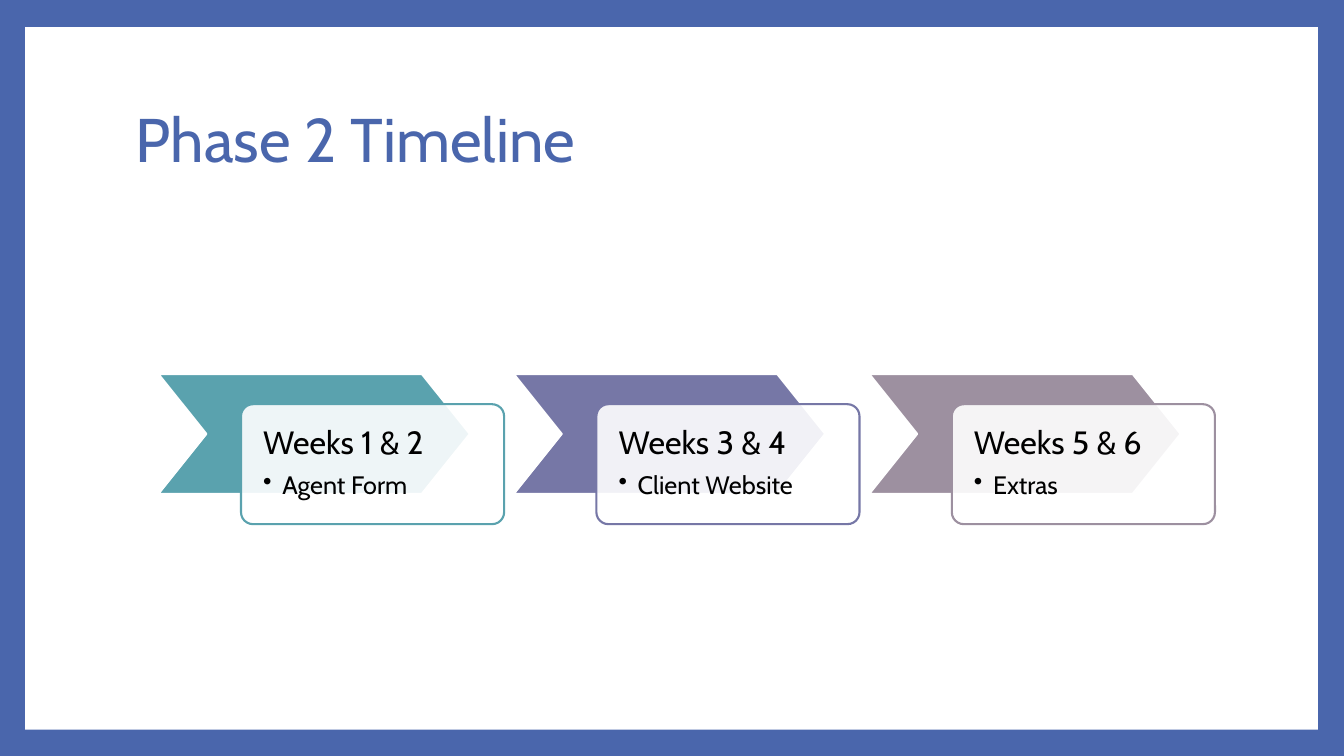
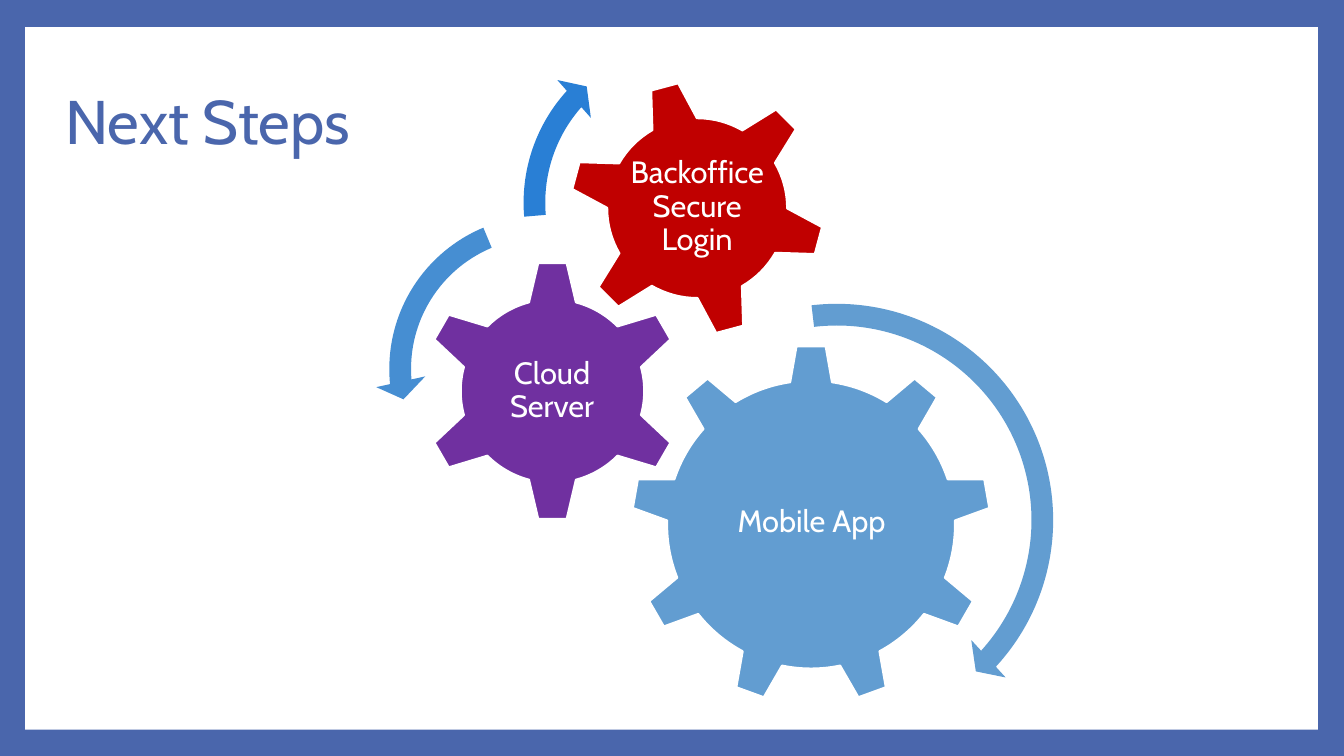
from lxml.etree import SubElement
from pptx import Presentation
from pptx.dml.color import RGBColor
from pptx.enum.shapes import MSO_SHAPE as SHAPE
from pptx.enum.text import MSO_ANCHOR as ANCHOR, PP_ALIGN as ALIGN
from pptx.oxml.ns import qn
from pptx.util import Inches, Pt

FONT = "Cabin"
COLORS = {
    "blue": "4A66AC", "white": "FFFFFF", "black": "000000",
    "teal": "5AA2AE", "violet": "7677A6", "mauve": "9D90A0",
    "sky": "629DD1", "purple": "7030A0", "red": "C00000",
    "azure": "468ED2", "cobalt": "297FD5",
}


def rgb(name):
    """Return the named colour."""
    return RGBColor.from_string(COLORS[name])


def add_shape(slide, kind, box, fill, line=None, adj=()):
    """Draw a flat preset shape in box (left, top, width, height)."""
    s = slide.shapes.add_shape(kind, *map(Inches, box))
    s.shadow.inherit = False
    s.fill.solid()
    s.fill.fore_color.rgb = rgb(fill)
    if line:
        s.line.color.rgb = rgb(line)
        s.line.width = Pt(1.5)
    else:
        s.line.fill.background()
    for i, value in enumerate(adj):
        s.adjustments[i] = value
    return s


def add_text(slide, box, lines, color, anchor=ANCHOR.TOP, align=ALIGN.LEFT, inset=None):
    """Write lines of (text, size) in a wrapping text box and return its paragraphs."""
    tf = slide.shapes.add_textbox(*map(Inches, box)).text_frame
    tf.word_wrap = True
    tf.vertical_anchor = anchor
    if inset is not None:
        tf.margin_left = tf.margin_right = tf.margin_top = tf.margin_bottom = Inches(inset)
    for i, (text, size) in enumerate(lines):
        p = tf.add_paragraph() if i else tf.paragraphs[0]
        p.text = text
        p.alignment = align
        p.line_spacing = 0.9
        font = p.runs[0].font
        font.name = FONT
        font.size = Pt(size)
        font.color.rgb = rgb(color)
    return tf.paragraphs


def add_bullet(p, indent):
    """Give a paragraph a round bullet with a hanging indent."""
    pPr = p._p.get_or_add_pPr()
    pPr.set("marL", str(Inches(indent)))
    pPr.set("indent", str(-Inches(indent)))
    SubElement(pPr, qn("a:buChar")).set("char", "•")


def set_opacity(s, percent):
    """Make the solid fill of a shape partly transparent."""
    clr = s._element.spPr.find(qn("a:solidFill")).find(qn("a:srgbClr"))
    SubElement(clr, qn("a:alpha")).set("val", str(percent * 1000))


def add_framed_slide(prs, title, left, top):
    """Add a slide with the blue frame, the white panel and a title."""
    slide = prs.slides.add_slide(prs.slide_layouts[6])
    slide.background.fill.solid()
    slide.background.fill.fore_color.rgb = rgb("blue")
    add_shape(slide, SHAPE.RECTANGLE, (0.25, 0.27, 12.82, 6.97), "white")
    add_text(slide, (left, top, 10.8, 1.48), [(title, 44)], "blue", ANCHOR.MIDDLE)
    return slide


def add_step(slide, left, top, color, weeks, task):
    """Draw a chevron with an overlapping card for one timeline step."""
    add_shape(slide, SHAPE.CHEVRON, (left, top, 3.09, 1.19), color, "white", [0.4])
    x, y, w, h = left + 0.82, top + 0.3, 2.61, 1.19
    card = add_shape(slide, SHAPE.ROUNDED_RECTANGLE, (x, y, w, h), "white", color, [0.1])
    set_opacity(card, 90)
    box = (x + 0.04, y + 0.04, w - 0.07, h - 0.07)
    heading, item = add_text(slide, box, [(weeks, 23), (task, 18)], "black", inset=0.18)
    heading.space_after = Pt(8)
    add_bullet(item, 0.19)


def add_gear(slide, kind, left, top, size, color, label, label_box, rotation=0):
    """Draw a gear with a centred label placed relative to its corner."""
    s = add_shape(slide, kind, (left, top, size, size), color, "white")
    s.rotation = rotation
    dx, dy, w, h = label_box
    add_text(slide, (left + dx, top + dy, w, h), [(label, 22)], "white",
             ANCHOR.MIDDLE, ALIGN.CENTER, 0.03)


def build_timeline(prs):
    """Build the timeline slide."""
    slide = add_framed_slide(prs, "Phase 2 Timeline", 1.25, 0.67)
    steps = [
        ("teal", "Weeks 1 & 2", "Agent Form"),
        ("violet", "Weeks 3 & 4", "Client Website"),
        ("mauve", "Weeks 5 & 6", "Extras"),
    ]
    for i, step in enumerate(steps):
        add_step(slide, 1.57 + i * 3.525, 3.71, *step)


def build_next_steps(prs):
    """Build the slide of gears and turning arrows."""
    slide = add_framed_slide(prs, "Next Steps", 0.55, 0.5)
    gears = [
        (SHAPE.GEAR_9, 6.26, 3.42, 3.57, "sky", "Mobile App", (0.72, 0.84, 2.14, 1.84)),
        (SHAPE.GEAR_6, 4.18, 2.58, 2.6, "purple", "Cloud Server", (0.65, 0.66, 1.29, 1.28)),
        (SHAPE.GEAR_6, 5.64, 0.79, 2.55, "red", "Backoffice Secure Login",
         (0.56, 0.55, 1.43, 1.43), 345),
    ]
    for gear in gears:
        add_gear(slide, *gear)
    arrows = [
        (SHAPE.CIRCULAR_ARROW, 6.01, 2.87, 4.58, "sky", (0.047, 2.99, 25.465, 157.973, 0.055)),
        (SHAPE.LEFT_CIRCULAR_ARROW, 3.72, 2, 3.32, "azure", (0.065, 4.3, 104.891, 148.378, 0.075)),
        (SHAPE.CIRCULAR_ARROW, 5.05, 0.22, 3.58, "cobalt", (0.06, 3.941, 133.138, 105.082, 0.07)),
    ]
    for kind, left, top, size, color, adj in arrows:
        add_shape(slide, kind, (left, top, size, size), color, adj=adj)


def main():
    """Build and save the presentation."""
    prs = Presentation()
    prs.slide_width, prs.slide_height = Inches(13.33), Inches(7.5)
    build_timeline(prs)
    build_next_steps(prs)
    prs.save("out.pptx")


if __name__ == "__main__":
    main()
